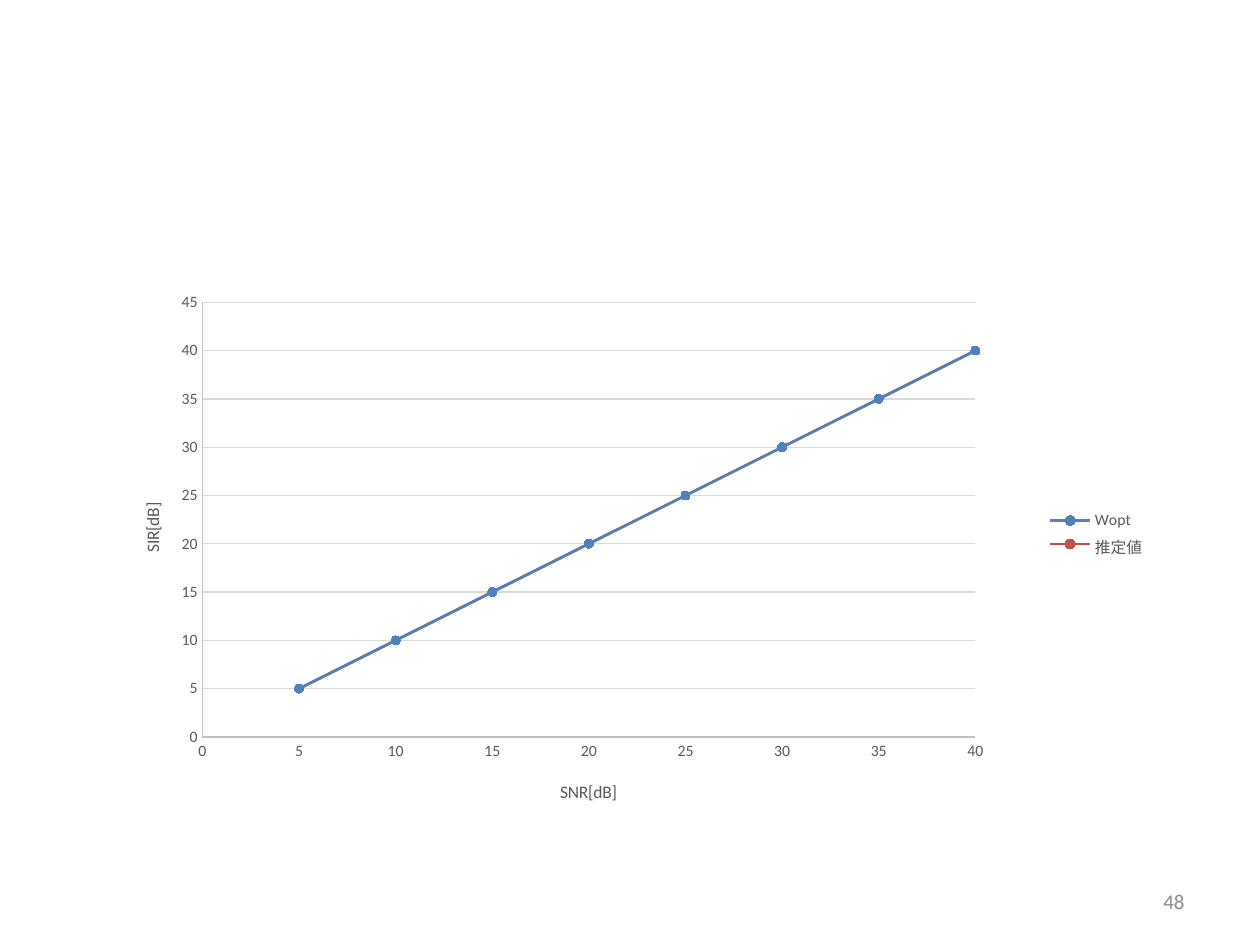
from dataclasses import dataclass

from lxml import etree
from pptx import Presentation
from pptx.chart.data import XyChartData
from pptx.dml.color import RGBColor
from pptx.enum.chart import (XL_CHART_TYPE, XL_LEGEND_POSITION,
                             XL_MARKER_STYLE, XL_TICK_MARK)
from pptx.enum.text import MSO_ANCHOR, PP_ALIGN
from pptx.oxml.ns import qn
from pptx.util import Inches, Pt

SCATTER = XL_CHART_TYPE.XY_SCATTER_SMOOTH
CIRCLE = XL_MARKER_STYLE.CIRCLE
NO_TICK = XL_TICK_MARK.NONE
LEGEND_RIGHT = XL_LEGEND_POSITION.RIGHT
MIDDLE = MSO_ANCHOR.MIDDLE
RIGHT = PP_ALIGN.RIGHT


@dataclass(frozen=True)
class Theme:
    font: str = "Calibri"
    text: RGBColor = RGBColor(0x59, 0x59, 0x59)
    axis: RGBColor = RGBColor(0xBF, 0xBF, 0xBF)
    grid: RGBColor = RGBColor(0xD9, 0xD9, 0xD9)
    number: RGBColor = RGBColor(0x8C, 0x8C, 0x8C)
    series: tuple = (RGBColor(0x4F, 0x81, 0xBD), RGBColor(0xC0, 0x50, 0x4D))
    label_size: Pt = Pt(9)
    title_size: Pt = Pt(10)
    number_size: Pt = Pt(12)


theme = Theme()


def style_font(font, size, color):
    font.name = theme.font
    font.size = size
    font.bold = False
    font.color.rgb = color


def set_layout(parent, index, **values):
    """Give a chart element a manual layout, as child number index, in chart fractions."""
    for old in parent.findall(qn("c:layout")):
        parent.remove(old)
    layout = etree.Element(qn("c:layout"))
    parent.insert(index, layout)
    manual = etree.SubElement(layout, qn("c:manualLayout"))
    for tag, value in values.items():
        etree.SubElement(manual, qn(f"c:{tag}")).set("val", str(value))


prs = Presentation()
prs.slide_width, prs.slide_height = Inches(10), Inches(7.5)
s = prs.slides.add_slide(prs.slide_layouts[6])

# Slide number
tf = s.shapes.add_textbox(Inches(7.17), Inches(6.95), Inches(2.33), Inches(0.4)).text_frame
tf.word_wrap = True
tf.vertical_anchor = MIDDLE
p = tf.paragraphs[0]
p.alignment = RIGHT
r = p.add_run()
r.text = "48"
style_font(r.font, theme.number_size, theme.number)

# SIR against SNR
data = XyChartData()
for name in ("Wopt", "推定値"):
    points = data.add_series(name)
    for level in range(5, 41, 5):
        points.add_data_point(level, level)
chart = s.shapes.add_chart(SCATTER, Inches(0.67), Inches(1.94),
                           Inches(8.52), Inches(4.6), data).chart
chart.has_title = False
style_font(chart.font, theme.label_size, theme.text)
chart.has_legend = True
chart.legend.position = LEGEND_RIGHT
chart.legend.include_in_layout = False
style_font(chart.legend.font, theme.label_size, theme.text)

plot = chart.plots[0]
plot.vary_by_categories = False
for series, color in zip(plot.series, theme.series):
    series.smooth = True
    series.format.line.color.rgb = color
    series.format.line.width = Pt(1.5)
    marker = series.marker
    marker.style = CIRCLE
    marker.size = 5
    marker.format.fill.solid()
    marker.format.fill.fore_color.rgb = color
    marker.format.line.color.rgb = color

# Axes: title, title position, maximum
for axis, title, x, y, top in ((chart.category_axis, "SNR[dB]", 0.44, 0.92, 40),
                               (chart.value_axis, "SIR[dB]", 0.05, 0.44, 45)):
    axis.minimum_scale, axis.maximum_scale, axis.major_unit = 0, top, 5
    axis.major_tick_mark = axis.minor_tick_mark = NO_TICK
    axis.format.line.color.rgb = theme.axis
    axis.format.line.width = Pt(0.75)
    style_font(axis.tick_labels.font, theme.label_size, theme.text)
    r = axis.axis_title.text_frame.paragraphs[0].add_run()
    r.text = title
    style_font(r.font, theme.title_size, theme.text)
    set_layout(axis.axis_title._element, 1, xMode="edge", yMode="edge", x=x, y=y)

# The vertical title reads upwards
body = chart.value_axis.axis_title.text_frame._txBody.find(qn("a:bodyPr"))
body.set("rot", "-5400000")
body.set("vert", "horz")

chart.category_axis.has_major_gridlines = False
grid = chart.value_axis.major_gridlines.format.line
grid.color.rgb = theme.grid
grid.width = Pt(0.75)

set_layout(chart._chartSpace.chart.plotArea, 0, layoutTarget="inner",
           xMode="edge", yMode="edge", x=0.11, y=0.1, w=0.72, h=0.75)

prs.save("out.pptx")
